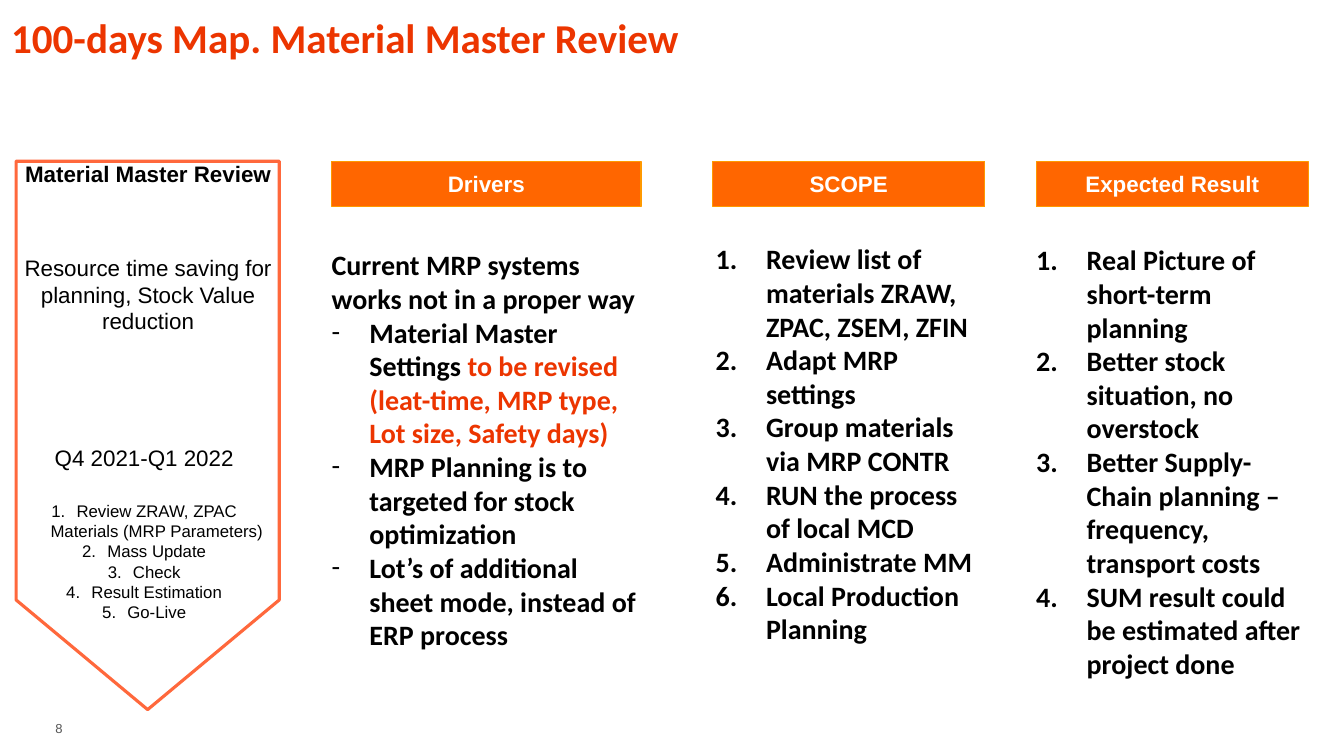
from lxml.etree import SubElement
from pptx import Presentation
from pptx.dml.color import RGBColor
from pptx.enum.shapes import MSO_SHAPE as Shape
from pptx.enum.text import MSO_ANCHOR as Anchor, PP_ALIGN as Align
from pptx.oxml.ns import qn
from pptx.util import Pt

# Content
TITLE = "100-days Map. Material Master Review"
PAGE_NUMBER = "8"
COLORS = {"title": "EC3500", "banner": "FF683C", "header": "FF6600", "edge": "FF9900",
          "text": "000000", "white": "FFFFFF", "page": "555555"}

# Banner texts: left, top, height, size, bold, lines
BANNER_TEXTS = [
    (8.6, 110.9, 26.6, 16, True, ["Material Master Review"]),
    (8.6, 177.8, 85, 16, False, ["Resource time saving for planning, Stock Value reduction"]),
    (5.8, 313.9, 26.6, 16, False, ["Q4 2021-Q1 2022"]),
    (5.8, 354.2, 108.7, 12, False, [
        "Review ZRAW, ZPAC Materials (MRP Parameters)",
        "Mass Update", "Check", "Result Estimation", "Go-Live"]),
]

# A paragraph is a bullet kind and its runs of (text, colour)
DRIVERS = [
    (None, [("Current MRP systems works not in a proper way", "text")]),
    ("-", [("Material Master Settings ", "text"),
           ("to be revised (leat-time, MRP type, Lot size, Safety days)", "title")]),
    ("-", [("MRP Planning is to targeted for stock optimization", "text")]),
    ("-", [("Lot’s of additional sheet mode, instead of ERP process", "text")]),
]
SCOPE = ["Review list of materials ZRAW, ZPAC, ZSEM, ZFIN", "Adapt MRP settings",
         "Group materials via MRP CONTR", "RUN the process of local MCD",
         "Administrate MM", "Local Production Planning"]
RESULTS = ["Real Picture of short-term planning", "Better stock situation, no overstock",
           "Better Supply-Chain planning – frequency, transport costs",
           "SUM result could be estimated after project done"]


def numbered(lines):
    return [("1.", [(line, "text")]) for line in lines]


# Columns: heading, header left, width, text left, text top, text height, indent, paragraphs
COLUMNS = [
    ("Drivers", 236.9, 221, 236.9, 177.1, 293, 27, DRIVERS),
    ("SCOPE", 509, 194.4, 511.2, 172.8, 293, 36, numbered(SCOPE)),
    ("Expected Result", 740.2, 194.4, 740.2, 173.5, 321, 36, numbered(RESULTS)),
]
HEADER_TOP, HEADER_HEIGHT = 115.2, 32.4
BANNER_TEXT_WIDTH = 194.4


def color(name):
    return RGBColor.from_string(COLORS[name])


def set_bullet(paragraph, kind, indent):
    properties = paragraph._p.get_or_add_pPr()
    properties.set("marL", str(Pt(indent)))
    properties.set("indent", str(-Pt(indent)))
    if kind == "-":
        SubElement(properties, qn("a:buFont"), typeface="Calibri")
        SubElement(properties, qn("a:buChar"), char="-")
    else:
        SubElement(properties, qn("a:buFont"), typeface="+mj-lt")
        SubElement(properties, qn("a:buAutoNum"), type="arabicPeriod")


def write(frame, paragraphs, font, size, bold=False, align=Align.LEFT, indent=0,
          margins=(7.2, 3.6), anchor=Anchor.TOP, wrap=True):
    frame.word_wrap = wrap
    frame.vertical_anchor = anchor
    frame.margin_left = frame.margin_right = Pt(margins[0])
    frame.margin_top = frame.margin_bottom = Pt(margins[1])
    for index, (bullet, runs) in enumerate(paragraphs):
        paragraph = frame.paragraphs[0] if index == 0 else frame.add_paragraph()
        paragraph.alignment = align
        paragraph.space_before = Pt(0)
        if bullet:
            set_bullet(paragraph, bullet, indent)
        for text, color_name in runs:
            run = paragraph.add_run()
            run.text = text
            run.font.name, run.font.size, run.font.bold = font, Pt(size), bold
            run.font.color.rgb = color(color_name)


def add_text(slide, left, top, width, height, paragraphs, font, size, **options):
    box = slide.shapes.add_textbox(Pt(left), Pt(top), Pt(width), Pt(height))
    write(box.text_frame, paragraphs, font, size, **options)


def add_outlined(slide, kind, left, top, width, height, line, weight, fill=None):
    shape = slide.shapes.add_shape(kind, Pt(left), Pt(top), Pt(width), Pt(height))
    shape.shadow.inherit = False
    if fill:
        shape.fill.solid()
        shape.fill.fore_color.rgb = color(fill)
    else:
        shape.fill.background()
    shape.line.color.rgb = color(line)
    shape.line.width = Pt(weight)
    return shape


def main():
    presentation = Presentation()
    presentation.slide_width, presentation.slide_height = Pt(960), Pt(540)
    slide = presentation.slides.add_slide(presentation.slide_layouts[5])

    # Title and page number
    title = slide.shapes.title
    title.left, title.top, title.width, title.height = Pt(8), Pt(8.6), Pt(837.4), Pt(56.2)
    write(title.text_frame, [(None, [(TITLE, "title")])], "Calibri", 29.3, bold=True,
          margins=(0, 0))
    add_text(slide, 39.6, 509.8, 41.8, 20.9, [(None, [(PAGE_NUMBER, "page")])],
             "Arial", 9.3, margins=(0, 0), anchor=Anchor.MIDDLE)

    # Banner on the left
    add_outlined(slide, Shape.FLOWCHART_OFFPAGE_CONNECTOR, 11.5, HEADER_TOP, 188, 391.7,
                 "banner", 2.25)
    for left, top, height, size, bold, lines in BANNER_TEXTS:
        paragraphs = numbered(lines) if len(lines) > 1 else [(None, [(lines[0], "text")])]
        add_text(slide, left, top, BANNER_TEXT_WIDTH, height, paragraphs, "Arial", size,
                 bold=bold, align=Align.CENTER, indent=18)

    # Columns with headers
    for heading, left, width, text_left, text_top, height, indent, paragraphs in COLUMNS:
        header = add_outlined(slide, Shape.FLOWCHART_PROCESS, left, HEADER_TOP, width,
                              HEADER_HEIGHT, "edge", 1, "header")
        write(header.text_frame, [(None, [(heading, "white")])], "Arial", 16, bold=True,
              align=Align.CENTER, anchor=Anchor.MIDDLE, wrap=False)
        add_text(slide, text_left, text_top, width, height, paragraphs, "Calibri", 20,
                 bold=True, indent=indent, margins=(0, 0))

    presentation.save("out.pptx")


if __name__ == "__main__":
    main()
